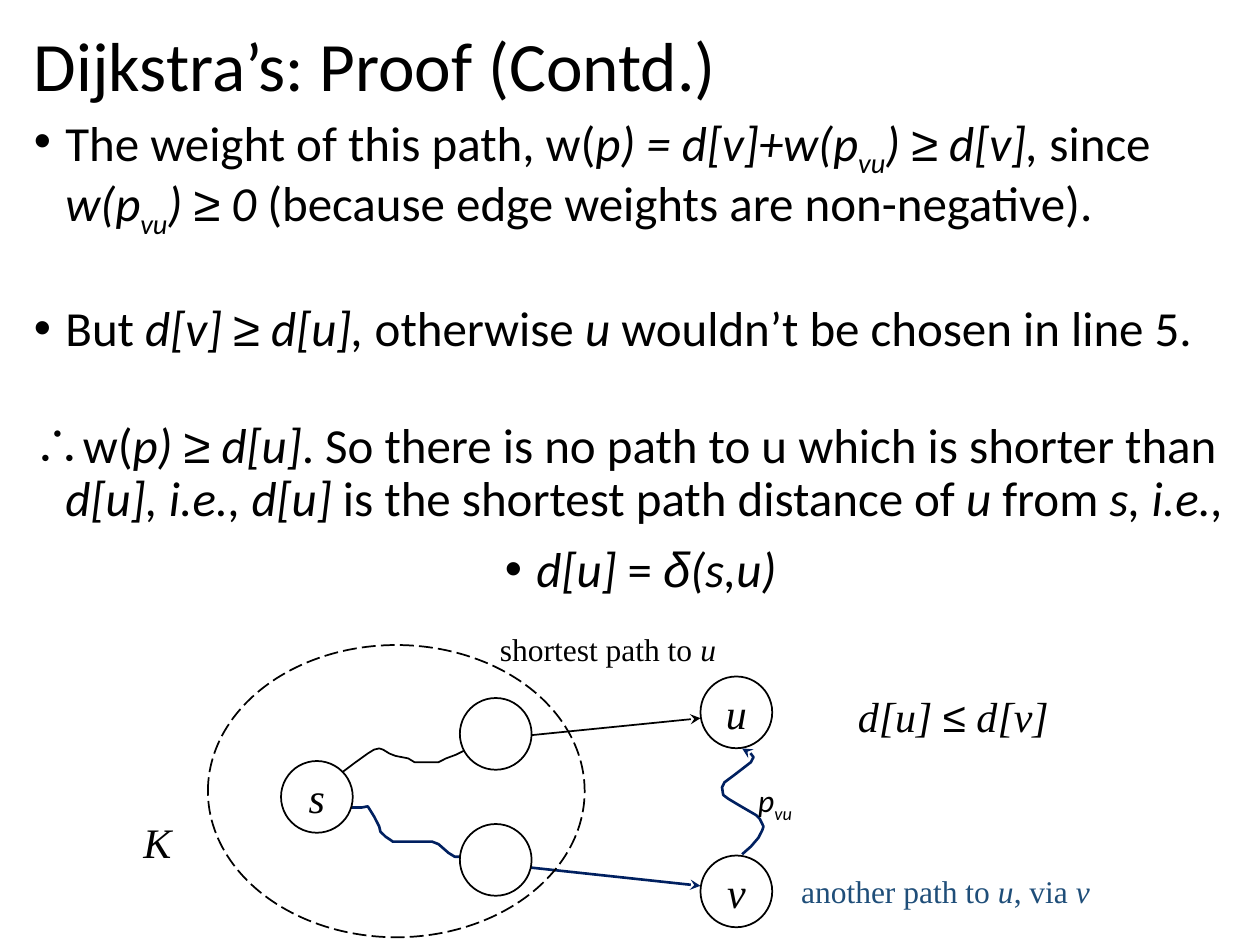
from dataclasses import dataclass

import pptx
import pptx.dml.color
import pptx.enum.dml
import pptx.enum.shapes
import pptx.enum.text
import pptx.oxml
import pptx.oxml.ns
import pptx.util
from lxml import etree

Pt = pptx.util.Pt
RGBColor = pptx.dml.color.RGBColor
Align = pptx.enum.text.PP_ALIGN
Anchor = pptx.enum.text.MSO_ANCHOR
Fit = pptx.enum.text.MSO_AUTO_SIZE
qn = pptx.oxml.ns.qn

BLACK = RGBColor(0, 0, 0)
WHITE = RGBColor(255, 255, 255)
NAVY = RGBColor(0x00, 0x20, 0x60)
STEEL = RGBColor(0x1F, 0x4E, 0x79)
SERIF = "Times New Roman"
SANS = "Calibri"
MATH = "Arial"
SIZE = 41


@dataclass
class Item:
    """A body paragraph; * toggles italic and _ toggles subscript."""
    text: str
    gap: float = 10
    mark: str = "•"
    align: Align = Align.LEFT


@dataclass
class Node:
    """A round graph vertex."""
    left: float
    top: float
    name: str = ""


@dataclass
class Label:
    """A free text label in the same markup as Item."""
    text: str
    left: float
    top: float
    width: float
    size: float
    font: str = SERIF
    color: RGBColor = BLACK


@dataclass
class Path:
    """A line through points, with an optional arrowhead."""
    points: list
    color: RGBColor = BLACK
    width: float = 1
    arrow: bool = False


def write(para, text: str, size: float, font: str, color: RGBColor) -> None:
    """Fill a paragraph with runs from marked-up text."""
    slant = sub = False
    part, face = "", font

    def flush() -> None:
        """Add the collected letters as one run."""
        if not part:
            return
        run = para.add_run()
        run.text = part
        run.font.size, run.font.name = Pt(size), face
        run.font.italic = slant
        run.font.color.rgb = color
        if sub:
            run.font._element.set("baseline", "-25000")

    for char in text:
        kind = MATH if char in "≥≤δ" else font
        if char in "*_" or kind != face:
            flush()
            part, face = "", kind
        if char == "*":
            slant = not slant
        elif char == "_":
            sub = not sub
        else:
            part += char
    flush()


def place(shape, left: float, top: float, width: float, height: float) -> None:
    """Set the position and size of a shape."""
    shape.left, shape.top = Pt(left), Pt(top)
    shape.width, shape.height = Pt(width), Pt(height)


def add_item(para, item: Item) -> None:
    """Write a bulleted body paragraph."""
    write(para, item.text, 28, SANS, BLACK)
    para.alignment = item.align
    para.line_spacing = 0.9
    para.space_before, para.space_after = Pt(item.gap), Pt(0)
    props = para._p.get_or_add_pPr()
    props.set("marL", str(Pt(18)))
    props.set("indent", str(-Pt(18)))
    etree.SubElement(props, qn("a:buFont")).set("typeface", MATH)
    etree.SubElement(props, qn("a:buChar")).set("char", item.mark)


def add_head(shape) -> None:
    """Put a stealth arrowhead at the end of a line."""
    line = shape.line._get_or_add_ln()
    etree.SubElement(line, qn("a:tailEnd")).set("type", "stealth")


def add_path(shapes, path: Path) -> None:
    """Draw a straight connector or a winding open outline."""
    spots = [(Pt(x), Pt(y)) for x, y in path.points]
    if len(spots) == 2:
        kind = pptx.enum.shapes.MSO_CONNECTOR.STRAIGHT
        shape = shapes.add_connector(kind, *spots[0], *spots[1])
        etree.SubElement(shape._element.spPr, qn("a:effectLst"))
    else:
        pen = shapes.build_freeform(*spots[0], scale=1.0)
        pen.add_line_segments(spots[1:], close=False)
        shape = pen.convert_to_shape()
        shape.shadow.inherit = False
        shape.fill.background()
    shape.line.color.rgb = path.color
    shape.line.width = Pt(path.width)
    if path.arrow:
        add_head(shape)


def add_oval(shapes, left: float, top: float, width: float, height: float):
    """Add an unfilled ellipse with a thin black line."""
    kind = pptx.enum.shapes.MSO_SHAPE.OVAL
    oval = shapes.add_shape(kind, Pt(left), Pt(top), Pt(width), Pt(height))
    oval.shadow.inherit = False
    oval.fill.background()
    oval.line.color.rgb = BLACK
    oval.line.width = Pt(1)
    return oval


def add_node(shapes, node: Node) -> None:
    """Draw a vertex and its name."""
    oval = add_oval(shapes, node.left, node.top, SIZE, SIZE)
    oval.fill.solid()
    oval.fill.fore_color.rgb = WHITE
    if node.name:
        frame = oval.text_frame
        frame.word_wrap = False
        frame.vertical_anchor = Anchor.MIDDLE
        frame.paragraphs[0].alignment = Align.CENTER
        write(frame.paragraphs[0], f"*{node.name}*", 24, SERIF, BLACK)


def add_label(shapes, label: Label) -> None:
    """Draw a text label that does not wrap."""
    box = shapes.add_textbox(Pt(label.left), Pt(label.top),
                             Pt(label.width), Pt(label.size * 1.2 + 7.2))
    frame = box.text_frame
    frame.word_wrap = False
    frame.auto_size = Fit.SHAPE_TO_FIT_TEXT
    write(frame.paragraphs[0], label.text, label.size, label.font, label.color)


ITEMS = [
    Item("The weight of this path, w(*p) = d[v]+w(p_vu_) ≥ d[v],* since "
         "*w(p_vu_) ≥ 0 *(because edge weights are non-negative). "),
    Item("But *d[v] ≥ d[u], *otherwise *u *wouldn’t be chosen in line 5. ", 40),
    Item("w(*p) ≥ d[u]*. So there is no path to u which is shorter than "
         "*d[u], i.e., d[u]* is the shortest path distance of *u* from "
         "*s, i.e., *", 37, "∴"),
    Item("*d[u]* = *δ(s,u)*", align=Align.CENTER),
]
PATHS = [
    Path([(190, 446.4), (193, 445), (196.6, 440.6), (202.3, 436.3),
          (210.2, 430.6), (213.8, 428.4), (216.7, 427.7), (218.9, 428.4),
          (222.5, 430.6), (226, 432), (233.3, 433.4), (236.9, 435.6),
          (250.6, 435.6), (254.9, 433.4), (260.6, 431.3), (267.8, 427.7),
          (272.9, 424.8), (276.5, 422.6)]),
    Path([(195.8, 464.4), (199.4, 461.5), (206.6, 461.5), (210.2, 460.8),
          (213.8, 466.6), (216.7, 472.3), (217.4, 475.2), (220.3, 478.1),
          (224.6, 481), (247, 481), (250.6, 482.4), (256.3, 487.4),
          (259.9, 489.6), (263.5, 489.6), (274.3, 493.9)], NAVY, 1.5),
    Path([(285.8, 421.9), (400.3, 410.4)], arrow=True),
    Path([(285.8, 493.9), (400.3, 506.2)], NAVY, 1.5, True),
]
LINK = Path([(424.1, 488.2), (429.1, 483.8), (433.4, 478.8), (435.6, 474.5),
             (436.3, 472.3), (434.2, 468), (432, 465.8), (423.4, 460.8),
             (416.2, 456.5), (413.3, 454.3), (412.6, 450), (414, 447.1),
             (419.8, 442.8), (429.1, 435.6), (430.6, 432.7), (428.4, 429.8),
             (425.5, 428.4), (424.1, 427.7)], NAVY, 1.5, True)
NODES = [Node(160.6, 434.9, "s"), Node(262.8, 398.9), Node(262.8, 470.9),
         Node(400.3, 386.6, "u"), Node(400.3, 488.9, "v")]
LABELS = [
    Label("*d[u] ≤ d[v]*", 483.1, 391, 125.3, 24),
    Label("*K*", 74.9, 463, 31, 24),
    Label("shortest path to *u*", 278.6, 356.4, 138.2, 18),
    Label("another path to *u*, via *v*", 450.7, 494.6, 180.7, 18, color=STEEL),
]

deck = pptx.Presentation()
deck.slide_width, deck.slide_height = Pt(720), Pt(540)
slide = deck.slides.add_slide(deck.slide_layouts[1])
title, body = slide.placeholders
place(title, 12.2, 13, 692.6, 53.3)
title.text_frame.auto_size = Fit.NONE
title.text_frame.vertical_anchor = Anchor.MIDDLE
head = title.text_frame.paragraphs[0]
head.alignment, head.line_spacing = Align.LEFT, 0.9
write(head, "Dijkstra’s: Proof (Contd.)", 39.6, SANS, BLACK)

place(body, 12.2, 61.2, 707.8, 412.6)
frame = body.text_frame
frame.auto_size = Fit.NONE
for rank, item in enumerate(ITEMS):
    add_item(frame.add_paragraph() if rank else frame.paragraphs[0], item)

for path in PATHS:
    add_path(slide.shapes, path)
for node in NODES:
    add_node(slide.shapes, node)
for label in LABELS:
    add_label(slide.shapes, label)
cloud = add_oval(slide.shapes, 118.8, 368.6, 215.3, 167)
cloud.line.dash_style = pptx.enum.dml.MSO_LINE.LONG_DASH
add_path(slide.shapes, LINK)
add_label(slide.shapes, Label("*p_vu_*", 426.2, 442.8, 35.3, 18, SANS))
deck.save("out.pptx")
